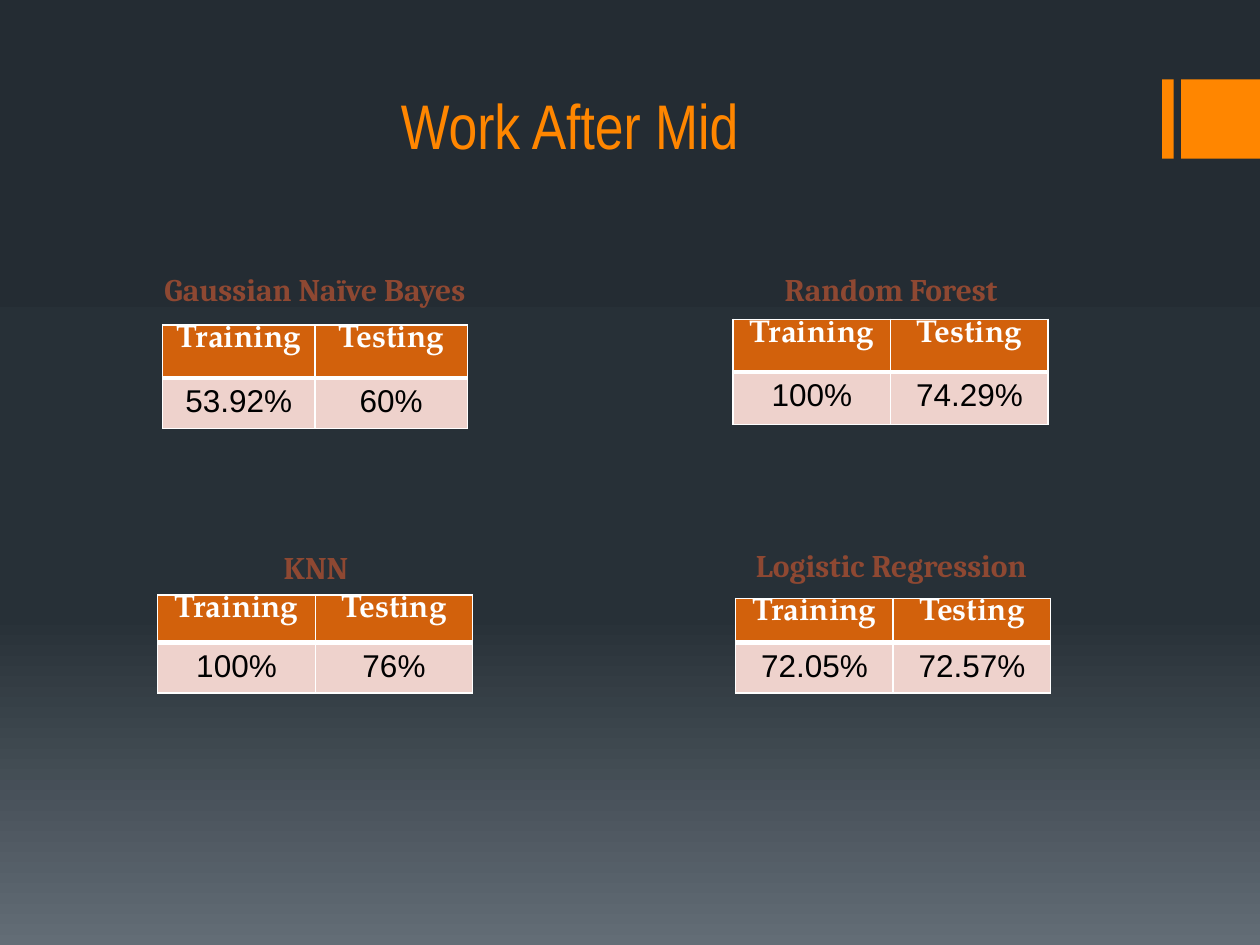
from copy import deepcopy
from dataclasses import dataclass

from lxml.etree import SubElement
from pptx import Presentation
from pptx.dml.color import RGBColor
from pptx.enum.shapes import MSO_SHAPE
from pptx.enum.text import MSO_ANCHOR, PP_ALIGN
from pptx.oxml.ns import qn
from pptx.util import Cm, Pt


@dataclass(frozen=True)
class Theme:
    accent: str = "FF8600"
    caption: str = "8E4832"
    header: str = "D2610C"
    body: str = "EED2CC"
    white: str = "FFFFFF"
    black: str = "000000"
    backdrop: tuple = ((0, "242C33"), (0.65, "273037"), (1, "636D76"))
    title_font: str = "Arial Narrow"
    caption_font: str = "Cambria"
    header_font: str = "TeX Gyre Pagella"
    body_font: str = "Arial"
    title_size: int = 36
    text_size: int = 18


THEME = Theme()
HEADINGS = ("Training", "Testing")
RESULTS = (
    ("Gaussian Naïve Bayes", ("53.92%", "60%"),
     (2.54, 5.28, 7.62, 1.07), (3.28, 6.55, 6.14), (1.07, 0.98)),
    ("Random Forest", ("100%", "74.29%"),
     (15.21, 5.21, 5.51, 1.24), (14.78, 6.44, 6.35), (1.06, 1.06)),
    ("KNN", ("100%", "76%"),
     (3.51, 11, 5.72, 0.84), (3.18, 11.99, 6.35), (0.96, 0.98)),
    ("Logistic Regression", ("72.05%", "72.57%"),
     (14.78, 11, 6.38, 0.79), (14.83, 12.06, 6.35), (0.89, 0.98)),
)


def write(frame, text, *, font, color, size=THEME.text_size, bold=False,
          anchor=MSO_ANCHOR.MIDDLE):
    frame.word_wrap = True
    frame.vertical_anchor = anchor
    paragraph = frame.paragraphs[0]
    paragraph.alignment = PP_ALIGN.CENTER
    run = paragraph.add_run()
    run.text = text
    run.font.name = font
    run.font.size = Pt(size)
    run.font.bold = bold
    run.font.color.rgb = RGBColor.from_string(color)


def paint_backdrop(slide):
    fill = slide.background.fill
    fill.gradient()
    fill.gradient_angle = 270
    first = slide.element.find(".//" + qn("a:gs"))
    first.addnext(deepcopy(first))
    for stop, (position, color) in zip(fill.gradient_stops, THEME.backdrop):
        stop.position = position
        stop.color.rgb = RGBColor.from_string(color)


def add_accent_bars(slide, left, top, height):
    for offset, width in ((0, 0.23), (0.38, 1.6)):
        bar = slide.shapes.add_shape(
            MSO_SHAPE.RECTANGLE, Cm(left + offset), Cm(top), Cm(width), Cm(height))
        bar.shadow.inherit = False
        bar.fill.solid()
        bar.fill.fore_color.rgb = RGBColor.from_string(THEME.accent)
        bar.line.fill.background()


def add_label(slide, box, text, **style):
    label = slide.shapes.add_textbox(*map(Cm, box))
    write(label.text_frame, text, **style)


def set_borders(cell, **points):
    properties = cell._tc.get_or_add_tcPr()
    for side in "LRTB":
        line = SubElement(properties, qn(f"a:ln{side}"), w=str(int(Pt(points.get(side, 1)))))
        fill = SubElement(line, qn("a:solidFill"))
        SubElement(fill, qn("a:srgbClr"), val=THEME.white)


def fill_cell(cell, text, background, borders, **style):
    set_borders(cell, **borders)
    cell.fill.solid()
    cell.fill.fore_color.rgb = RGBColor.from_string(background)
    cell.vertical_anchor = MSO_ANCHOR.TOP
    write(cell.text_frame, text, anchor=MSO_ANCHOR.TOP, **style)


def add_scores(slide, box, row_heights, scores):
    left, top, width = box
    table = slide.shapes.add_table(
        2, 2, Cm(left), Cm(top), Cm(width), Cm(sum(row_heights))).table
    for row, height in zip(table.rows, row_heights):
        row.height = Cm(height)
    for index, (heading, score) in enumerate(zip(HEADINGS, scores)):
        table.columns[index].width = Cm(width / 2)
        header = table.cell(0, index)
        header.margin_top = header.margin_bottom = 0
        fill_cell(header, heading, THEME.header, {"B": 3},
                  font=THEME.header_font, color=THEME.white, bold=True)
        fill_cell(table.cell(1, index), score, THEME.body, {"T": 3},
                  font=THEME.body_font, color=THEME.black)


def add_result(slide, model, scores, caption_box, table_box, row_heights):
    add_label(slide, caption_box, model, font=THEME.caption_font,
              color=THEME.caption, bold=True)
    add_scores(slide, table_box, row_heights, scores)


def build():
    deck = Presentation()
    deck.slide_width, deck.slide_height = Cm(25.4), Cm(19.05)
    slide = deck.slides.add_slide(deck.slide_layouts[6])
    paint_backdrop(slide)
    add_accent_bars(slide, 23.43, 1.6, 1.6)
    add_label(slide, (1.47, 0.2, 20.32, 3.2), "Work After Mid ", font=THEME.title_font,
              color=THEME.accent, size=THEME.title_size, anchor=MSO_ANCHOR.BOTTOM)
    for result in RESULTS:
        add_result(slide, *result)
    deck.save("out.pptx")


build()
